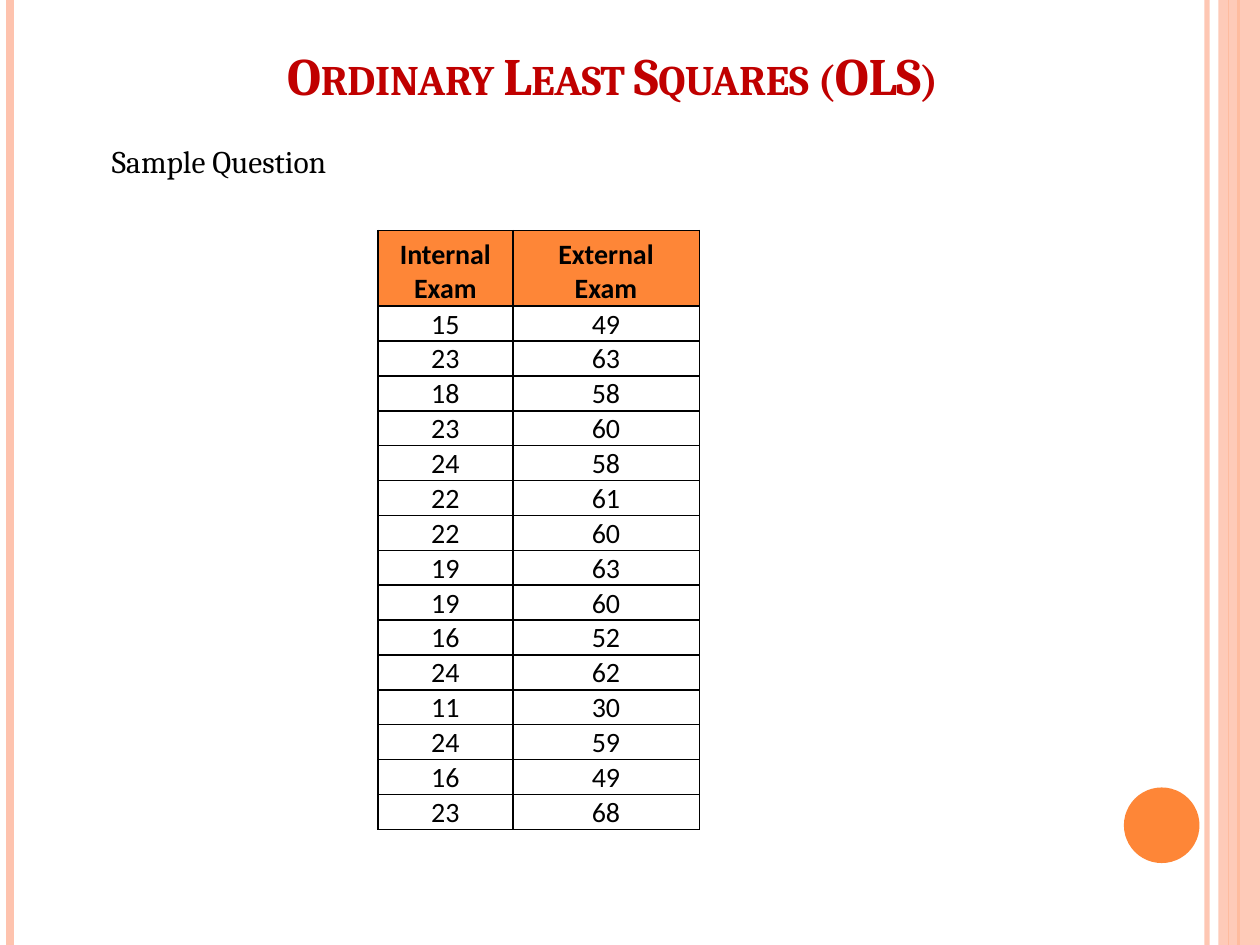
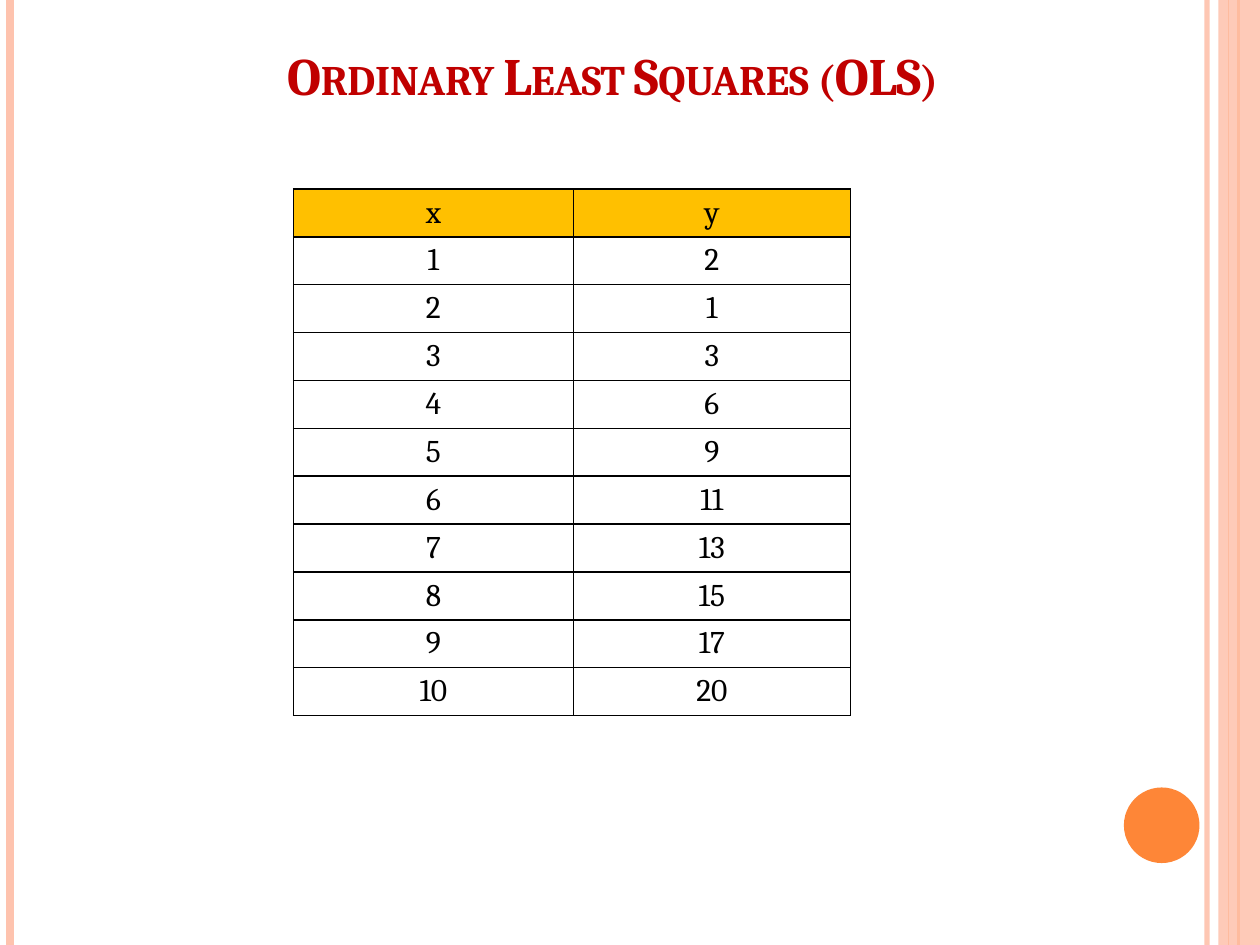
"""Build two slides with sample data for ordinary least squares."""
from dataclasses import dataclass
from lxml import etree
from pptx import Presentation
from pptx.dml.color import RGBColor as Rgb
from pptx.enum import shapes, text
from pptx.oxml import ns
from pptx.util import Inches, Pt


@dataclass
class Theme:
    pink: str = "FEC3AE"
    orange: str = "FE8637"
    gold: str = "FFC000"
    red: str = "C00000"
    black: str = "000000"
    serif: str = "Cambria"
    sans: str = "Calibri"
    title: int = 30
    body: int = 18
    small: int = 16


def write(para, words, font, size, color, bold=False):
    run = para.add_run()
    run.text = words
    run.font.name = font
    run.font.size = Pt(size)
    run.font.bold = bold
    run.font.color.rgb = Rgb.from_string(color)
    return run


def fade(shape, alpha):
    tint = next(shape._element.spPr.iter(ns.qn("a:srgbClr")))
    etree.SubElement(tint, ns.qn("a:alpha"), val=str(alpha * 1000))


theme = Theme()
center = text.PP_ALIGN.CENTER
middle, bottom = text.MSO_ANCHOR.MIDDLE, text.MSO_ANCHOR.BOTTOM
kinds = shapes.MSO_SHAPE
rules = [(9.58, theme.pink, 3, 93), (0.08, theme.pink, 4.5, 100),
         (9.83, theme.orange, 1.5, 100), (9.75, theme.orange, 0.75, 100)]

exams = [("Internal Exam", "External\nExam"),
         (15, 49), (23, 63), (18, 58), (23, 60), (24, 58),
         (22, 61), (22, 60), (19, 63), (19, 60), (16, 52),
         (24, 62), (11, 30), (24, 59), (16, 49), (23, 68)]
points = [("x", "y"), *enumerate([2, 1, 3, 6, 9, 11, 13, 15, 17, 20], 1)]

pages = [
    dict(rows=exams, left=3, top=1.83, cols=(1.07, 1.48), head=0.6,
         high=4.12 / 15, fill=theme.orange, font=theme.sans,
         size=theme.small, bold=True, anchor=bottom,
         pads=(0.01, 0.01, 0.01, 0), note="Sample Question"),
    dict(rows=points, left=2.33, top=1.5, cols=(2.22, 2.2), head=0.37,
         high=0.37, fill=theme.gold, font=theme.serif,
         size=theme.body, bold=False, anchor=middle,
         pads=(0.08, 0.04, 0.08, 0.04), note=None),
]

deck = Presentation()
deck.slide_width, deck.slide_height = Inches(10), Inches(7.5)

for page in pages:
    slide = deck.slides.add_slide(deck.slide_layouts[6])

    for x, color, width, alpha in rules:
        line = slide.shapes.add_connector(
            shapes.MSO_CONNECTOR.STRAIGHT, Inches(x), 0, Inches(x), Inches(7.5))
        line.line.color.rgb = Rgb.from_string(color)
        line.line.width = Pt(width)
        etree.SubElement(line._element.spPr, ns.qn("a:effectLst"))
        fade(line, alpha)

    for kind, box, color, alpha in [
            (kinds.RECTANGLE, (9.67, 0, 0.33, 7.5), theme.pink, 87),
            (kinds.OVAL, (8.92, 6.25, 0.6, 0.6), theme.orange, 100)]:
        shape = slide.shapes.add_shape(kind, *map(Inches, box))
        shape.shadow.inherit = False
        shape.fill.solid()
        shape.fill.fore_color.rgb = Rgb.from_string(color)
        shape.line.fill.background()
        fade(shape, alpha)

    title = slide.shapes.add_textbox(*map(Inches, (0.79, 0.33, 8.17, 0.52)))
    frame = title.text_frame
    frame.word_wrap = True
    frame.margin_left = frame.margin_right = frame.margin_bottom = 0
    frame.margin_top = Inches(0.01)
    para = frame.paragraphs[0]
    para.alignment = center
    run = write(para, "Ordinary Least Squares (OLS) ", theme.serif,
                theme.title, theme.red, True)
    props = run.font._element
    props.set("cap", "small")
    props.set("spc", "-10")

    rows = page["rows"]
    high = page["head"] + page["high"] * (len(rows) - 1)
    table = slide.shapes.add_table(
        len(rows), 2, Inches(page["left"]), Inches(page["top"]),
        Inches(sum(page["cols"])), Inches(high)).table
    table.first_row = table.horz_banding = False
    for col, width in zip(table.columns, page["cols"]):
        col.width = Inches(width)

    for r, row in enumerate(rows):
        table.rows[r].height = Inches(page["high"] if r else page["head"])
        for c, value in enumerate(row):
            cell = table.cell(r, c)
            cell.vertical_anchor = page["anchor"]
            (cell.margin_left, cell.margin_top, cell.margin_right,
             cell.margin_bottom) = map(Inches, page["pads"])
            if r:
                cell.fill.background()
            else:
                cell.fill.solid()
                cell.fill.fore_color.rgb = Rgb.from_string(page["fill"])
            for i, side in enumerate("LRTB"):
                edge = etree.Element(ns.qn(f"a:ln{side}"), w=str(Pt(1)))
                solid = etree.SubElement(edge, ns.qn("a:solidFill"))
                etree.SubElement(solid, ns.qn("a:srgbClr"), val=theme.black)
                cell._tc.get_or_add_tcPr().insert(i, edge)
            frame = cell.text_frame
            for i, words in enumerate(str(value).split("\n")):
                para = frame.add_paragraph() if i else frame.paragraphs[0]
                para.alignment = center
                write(para, words, page["font"], page["size"], theme.black,
                      page["bold"] and r == 0)

    if page["note"]:
        note = slide.shapes.add_textbox(*map(Inches, (0.79, 1.08, 2.79, 0.4)))
        note.text_frame.word_wrap = True
        write(note.text_frame.paragraphs[0], page["note"], theme.serif,
              theme.body, theme.black)

deck.save("out.pptx")
